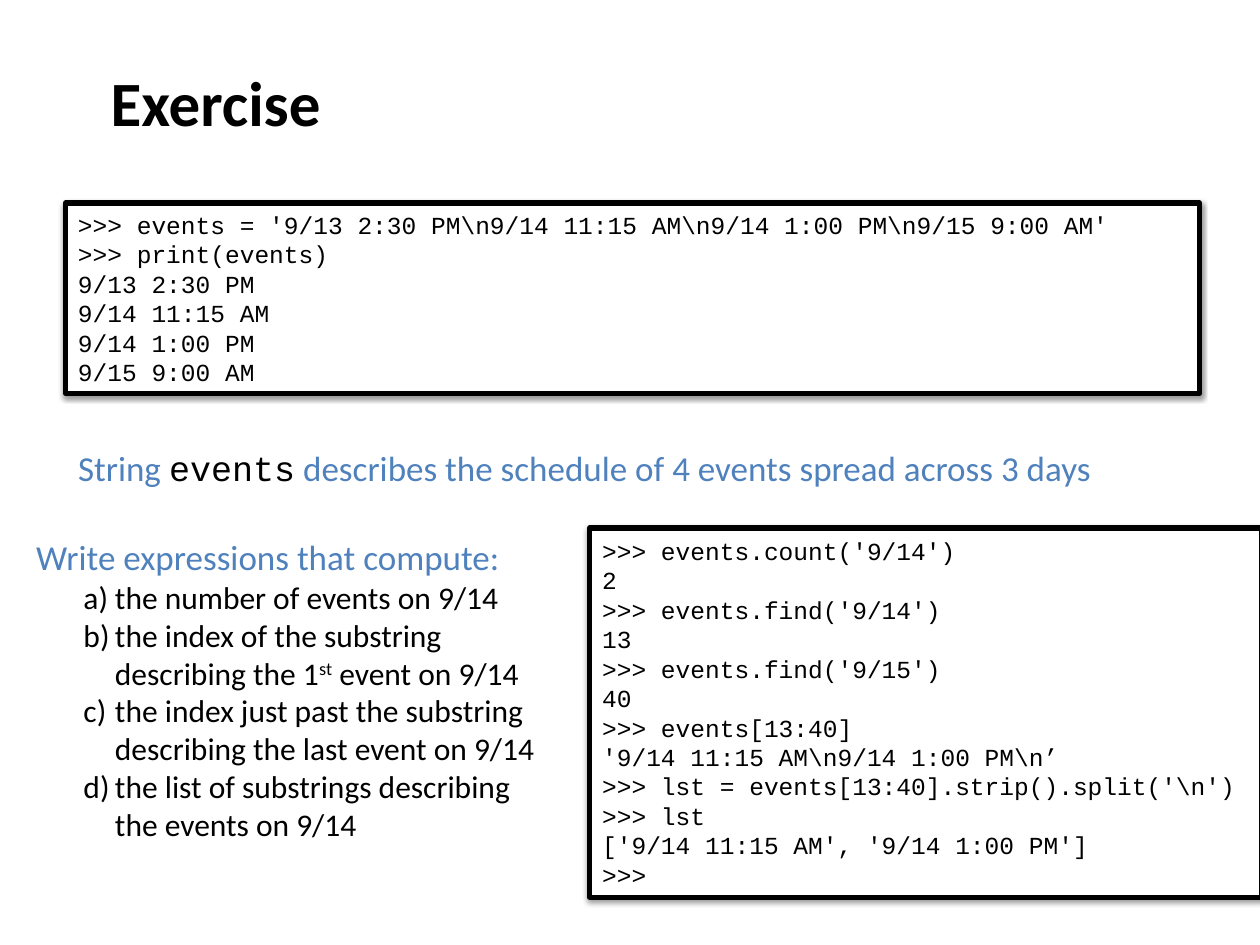
from dataclasses import dataclass

from lxml.etree import SubElement
from pptx import Presentation
from pptx.dml.color import RGBColor
from pptx.enum.shapes import MSO_SHAPE
from pptx.enum.text import MSO_ANCHOR, MSO_AUTO_SIZE, PP_ALIGN
from pptx.oxml import parse_xml
from pptx.oxml.ns import nsdecls, qn
from pptx.util import Pt


@dataclass(frozen=True)
class Theme:
    black: RGBColor = RGBColor(0, 0, 0)
    white: RGBColor = RGBColor(255, 255, 255)
    blue: RGBColor = RGBColor(0x4F, 0x81, 0xBD)
    sans: str = "Calibri"
    mono: str = "Courier New"
    title: int = 36
    lead: int = 20
    item: int = 18
    code: int = 14
    border: int = 3


SHADOW = f"""<a:effectLst {nsdecls("a")}>
<a:outerShdw blurRad="{Pt(3.1)}" dist="{Pt(1.6)}" dir="5400000" rotWithShape="0">
<a:srgbClr val="000000"><a:alpha val="38000"/></a:srgbClr>
</a:outerShdw></a:effectLst>"""

SESSION = r""">>> events = '9/13 2:30 PM\n9/14 11:15 AM\n9/14 1:00 PM\n9/15 9:00 AM'
>>> print(events)
9/13 2:30 PM
9/14 11:15 AM
9/14 1:00 PM
9/15 9:00 AM"""

ANSWERS = r""">>> events.count('9/14')
2
>>> events.find('9/14')
13
>>> events.find('9/15')
40
>>> events[13:40]
'9/14 11:15 AM\n9/14 1:00 PM\n’
>>> lst = events[13:40].strip().split('\n')
>>> lst
['9/14 11:15 AM', '9/14 1:00 PM']
>>>"""

TASKS = [
    [("the number of events on 9/14", 0)],
    [
        ("the index of the substring describing the 1", 0),
        ("st", 30000),
        (" event on 9/14", 0),
    ],
    [("the index just past the substring describing the last event on 9/14", 0)],
    [("the list of substrings describing the events on 9/14", 0)],
]


class SlideBuilder:
    def __init__(self, slide, theme):
        self.slide = slide
        self.theme = theme

    def place(self, shape, left, top, width, height):
        shape.left, shape.top = Pt(left), Pt(top)
        shape.width, shape.height = Pt(width), Pt(height)

    def frame(self, shape, wrap=True, fit=MSO_AUTO_SIZE.SHAPE_TO_FIT_TEXT):
        frame = shape.text_frame
        frame.word_wrap = wrap
        frame.auto_size = fit
        frame.vertical_anchor = MSO_ANCHOR.MIDDLE
        return frame

    def para(self, frame, first):
        para = frame.paragraphs[0] if first else frame.add_paragraph()
        para.alignment = PP_ALIGN.LEFT
        para.space_before = Pt(0)
        return para

    def span(self, para, text, size, color, font=None, bold=False):
        span = para.add_run()
        span.text = text
        span.font.name = font or self.theme.sans
        span.font.size = Pt(size)
        span.font.bold = bold
        span.font.color.rgb = color
        return span

    def title(self, text, *bounds):
        shape = self.slide.shapes.title
        self.place(shape, *bounds)
        para = self.para(self.frame(shape, fit=MSO_AUTO_SIZE.NONE), True)
        self.span(para, text, self.theme.title, self.theme.black, bold=True)

    def code(self, text, *bounds):
        box = self.slide.shapes.add_shape(
            MSO_SHAPE.RECTANGLE, *(Pt(value) for value in bounds)
        )
        box.fill.solid()
        box.fill.fore_color.rgb = self.theme.white
        box.line.color.rgb = self.theme.black
        box.line.width = Pt(self.theme.border)
        box._element.spPr.append(parse_xml(SHADOW))
        frame = self.frame(box)
        for index, line in enumerate(text.split("\n")):
            para = self.para(frame, index == 0)
            self.span(para, line, self.theme.code, self.theme.black, self.theme.mono)

    def tasks(self, lead, items, *bounds):
        body = self.slide.placeholders[1]
        self.place(body, *bounds)
        frame = self.frame(body)
        para = self.para(frame, True)
        self.bullet(para, 0, 0, "buNone")
        self.span(para, lead, self.theme.lead, self.theme.blue)
        for item in items:
            para = self.para(frame, False)
            para.level = 1
            self.bullet(para, 45, -18, "buAutoNum", type="alphaLcParenR")
            for text, baseline in item:
                span = self.span(para, text, self.theme.item, self.theme.black)
                if baseline:
                    span.font._element.set("baseline", str(baseline))

    def bullet(self, para, margin, indent, kind, **attributes):
        properties = para._p.get_or_add_pPr()
        properties.set("marL", str(Pt(margin)))
        properties.set("indent", str(Pt(indent)))
        SubElement(properties, qn(f"a:{kind}"), attributes)

    def statement(self, spans, *bounds):
        box = self.slide.shapes.add_textbox(*(Pt(value) for value in bounds))
        para = self.para(self.frame(box, wrap=False), True)
        for text, color, font in spans:
            self.span(para, text, self.theme.lead, color, font)


def main():
    deck = Presentation()
    deck.slide_width, deck.slide_height = Pt(720), Pt(540)
    page = deck.slides.add_slide(deck.slide_layouts[1])
    theme = Theme()
    builder = SlideBuilder(page, theme)
    builder.title("Exercise", 56, 0, 612, 116)
    builder.code(SESSION, 37.5, 116, 648, 108.7)
    builder.code(ANSWERS, 337, 301.7, 384, 211)
    builder.tasks("Write expressions that compute:", TASKS, 13.5, 301.7, 301, 184.3)
    builder.statement(
        [
            ("String ", theme.blue, theme.sans),
            ("events", theme.black, theme.mono),
            (
                " describes the schedule of 4 events spread across 3 days",
                theme.blue,
                theme.sans,
            ),
        ],
        37.5, 251.5, 608.4, 31.5,
    )
    deck.save("out.pptx")


if __name__ == "__main__":
    main()
